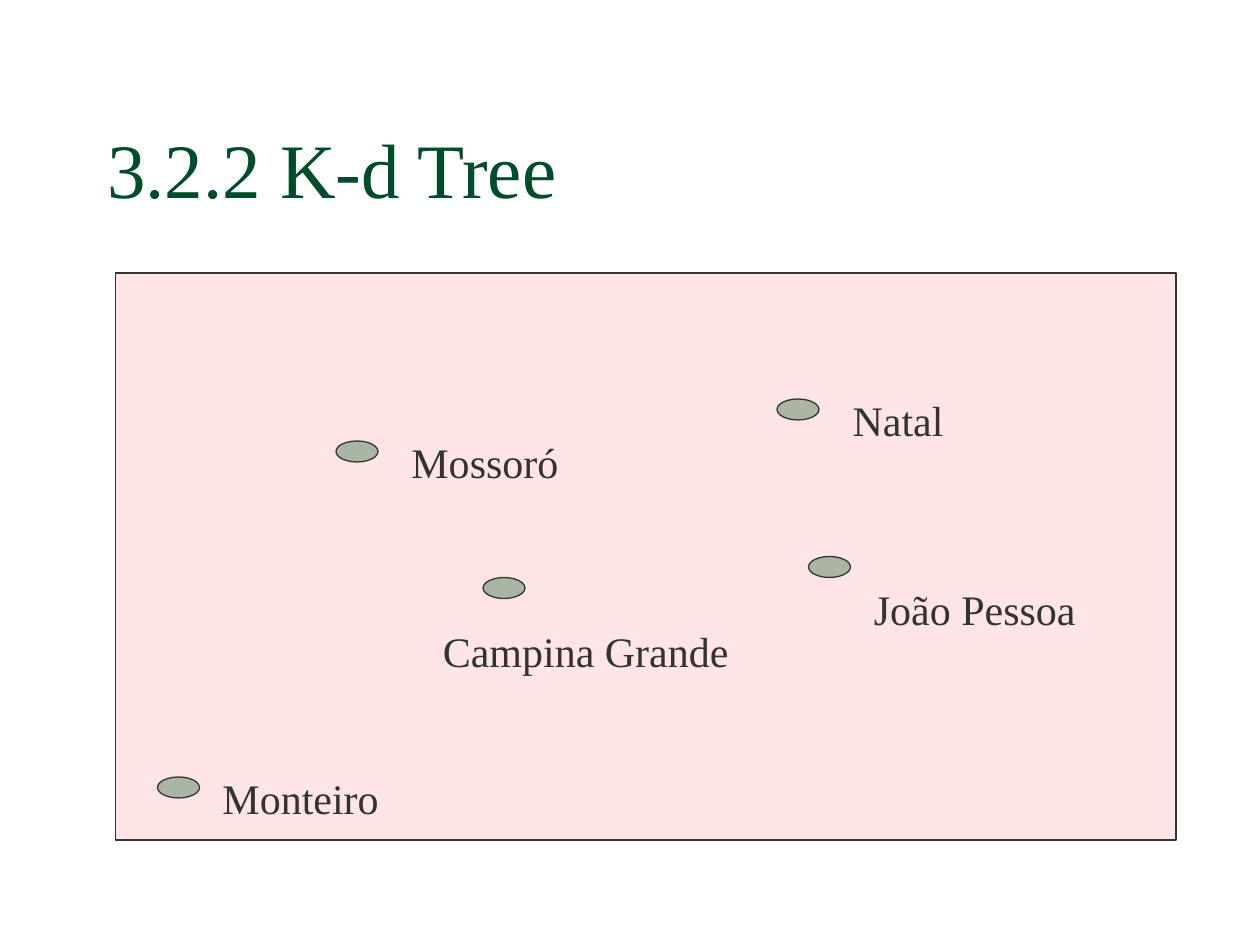
from typing import NamedTuple

from lxml.etree import SubElement
from pptx import Presentation
from pptx.dml.color import RGBColor
from pptx.enum.shapes import MSO_SHAPE as Preset
from pptx.enum.text import MSO_ANCHOR as Anchor, MSO_AUTO_SIZE as AutoSize, PP_ALIGN as Align
from pptx.oxml.ns import qn
from pptx.util import Pt

FONT = "Times New Roman"
INK = "333333"
TITLE_GREEN = "004C2B"
MAP_PINK = "FFCCCC"
CITY_GREEN = "578963"
MARKER_WIDTH, MARKER_HEIGHT = 24, 12
LABEL_HEIGHT = 36


class City(NamedTuple):
    """A marker's top left corner, and its label's corner and width, in points."""
    name: str
    x: float
    y: float
    label_x: float
    label_y: float
    label_width: float


CITIES = [
    City("Mossoró", 192, 252, 227.6, 246, 99),
    City("Natal", 444, 228, 479.7, 222, 67),
    City("Campina Grande", 276, 330, 245.7, 354, 178),
    City("João Pessoa", 462, 318, 492, 330, 130),
    City("Monteiro", 90, 444, 119.8, 438, 104),
]


def color(value: str) -> RGBColor:
    return RGBColor.from_string(value)


def style_text(para, size: float, ink: str, align: Align) -> None:
    para.alignment = align
    para.font.name = FONT
    para.font.size = Pt(size)
    para.font.color.rgb = color(ink)


def add_translucent(page, preset: Preset, left: float, top: float,
                    width: float, height: float, fill: str) -> None:
    """Add an outlined shape with a half transparent fill."""
    shape = page.shapes.add_shape(preset, Pt(left), Pt(top), Pt(width), Pt(height))
    shape.shadow.inherit = False
    shape.fill.solid()
    shape.fill.fore_color.rgb = color(fill)
    fill_color = shape.fill._xPr.find(qn("a:solidFill"))[0]
    SubElement(fill_color, qn("a:alpha"), val="50000")
    shape.line.color.rgb = color(INK)
    shape.line.width = Pt(0.75)


def add_label(page, city: City) -> None:
    box = page.shapes.add_textbox(Pt(city.label_x), Pt(city.label_y),
                                  Pt(city.label_width), Pt(LABEL_HEIGHT))
    frame = box.text_frame
    frame.text = city.name
    frame.word_wrap = False
    frame.auto_size = AutoSize.SHAPE_TO_FIT_TEXT
    frame.vertical_anchor = Anchor.MIDDLE
    style_text(frame.paragraphs[0], 24, INK, Align.CENTER)


def set_title(page, text: str) -> None:
    title = page.shapes.title
    title.left, title.top, title.width, title.height = Pt(54), Pt(36), Pt(612), Pt(90)
    frame = title.text_frame
    frame.text = text
    frame.vertical_anchor = Anchor.BOTTOM
    style_text(frame.paragraphs[0], 44, TITLE_GREEN, Align.LEFT)


def main() -> None:
    deck = Presentation()
    deck.slide_width, deck.slide_height = Pt(720), Pt(540)
    page = deck.slides.add_slide(deck.slide_layouts[5])
    set_title(page, "3.2.2 K-d Tree")
    add_translucent(page, Preset.RECTANGLE, 66, 156, 606, 324, MAP_PINK)
    for city in CITIES:
        add_translucent(page, Preset.OVAL, city.x, city.y,
                        MARKER_WIDTH, MARKER_HEIGHT, CITY_GREEN)
    for city in CITIES:
        add_label(page, city)
    deck.save("out.pptx")


if __name__ == "__main__":
    main()
